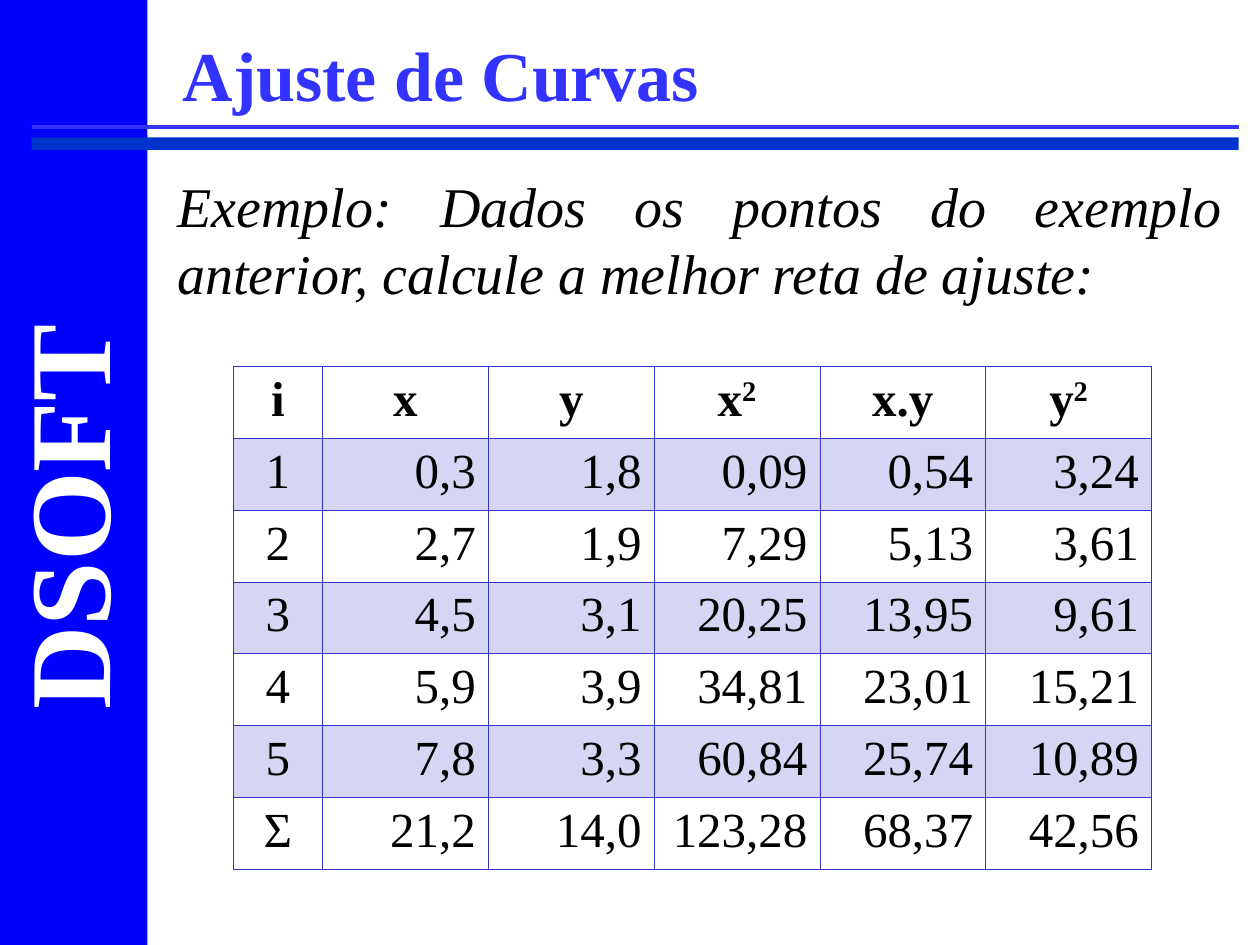
from dataclasses import dataclass

from lxml import etree
from pptx import Presentation
from pptx import util as u
from pptx.dml.color import RGBColor
from pptx.enum import shapes, text
from pptx.oxml.ns import qn

WIDTH, HEIGHT = 10, 7.5


@dataclass(frozen=True)
class Theme:
    font: str = "Times New Roman"
    sidebar: str = "0000FF"
    bar: str = "0033CC"
    accent: str = "3333FF"
    grid: str = "3333CC"
    ink: str = "000000"
    light: str = "FFFFFF"
    label_size: int = 66
    title_size: int = 40
    body_size: int = 32
    table_size: int = 28
    rule_width: float = 2.25
    grid_width: float = 0.45
    header_width: float = 0.96
    band_alpha: int = 20


THEME = Theme()

HEADINGS = ["i", "x", "y", "x²", "x.y", "y²"]
POINTS = [
    ["1", "0,3", "1,8", "0,09", "0,54", "3,24"],
    ["2", "2,7", "1,9", "7,29", "5,13", "3,61"],
    ["3", "4,5", "3,1", "20,25", "13,95", "9,61"],
    ["4", "5,9", "3,9", "34,81", "23,01", "15,21"],
    ["5", "7,8", "3,3", "60,84", "25,74", "10,89"],
]
SUMS = ["Σ", "21,2", "14,0", "123,28", "68,37", "42,56"]


def inches(*lengths):
    return [u.Inches(length) for length in lengths]


def style(paragraph, size, color, align=text.PP_ALIGN.LEFT, bold=False, italic=False):
    paragraph.alignment = align
    font = paragraph.font
    font.name, font.size = THEME.font, u.Pt(size)
    font.bold, font.italic = bold, italic
    font.color.rgb = RGBColor.from_string(color)


def add_block(slide, box, color):
    block = slide.shapes.add_shape(shapes.MSO_SHAPE.RECTANGLE, *inches(*box))
    block.shadow.inherit = False
    block.fill.solid()
    block.fill.fore_color.rgb = RGBColor.from_string(color)
    block.line.fill.background()


def add_sidebar(slide, box):
    left, top, width, height = box
    add_block(slide, box, THEME.sidebar)
    label_width, label_height = 3.6, 1.2
    center_x, center_y = left + width * 0.44, top + height * 0.547
    label = slide.shapes.add_textbox(*inches(
        center_x - label_width / 2, center_y - label_height / 2, label_width, label_height))
    label.rotation = 270
    label.text_frame.word_wrap = True
    label.text_frame.text = "DSOFT"
    style(label.text_frame.paragraphs[0], THEME.label_size, THEME.light,
          text.PP_ALIGN.CENTER, bold=True)


def add_header_rules(slide, box):
    left, top, width, height = box
    bar_height = height * 0.55
    add_block(slide, (left, top + height - bar_height, width, bar_height), THEME.bar)
    rule = slide.shapes.add_connector(
        shapes.MSO_CONNECTOR.STRAIGHT, *inches(left, top, left + width, top))
    rule.line.color.rgb = RGBColor.from_string(THEME.accent)
    rule.line.width = u.Pt(THEME.rule_width)
    etree.SubElement(rule._element.spPr, qn("a:effectLst"))


def place_title(slide, box):
    title = slide.shapes.title
    title.left, title.top, title.width, title.height = inches(*box)
    frame = title.text_frame
    frame.text = "Ajuste de Curvas"
    frame.auto_size = text.MSO_AUTO_SIZE.NONE
    frame.vertical_anchor = text.MSO_ANCHOR.MIDDLE
    style(frame.paragraphs[0], THEME.title_size, THEME.accent, bold=True)


def add_statement(slide, box):
    statement = slide.shapes.add_textbox(*inches(*box)).text_frame
    statement.word_wrap = True
    statement.text = ("Exemplo: Dados os pontos do exemplo anterior, "
                      "calcule a melhor reta de ajuste:")
    style(statement.paragraphs[0], THEME.body_size, THEME.ink,
          text.PP_ALIGN.JUSTIFY, italic=True)


def set_borders(cell, top_width, bottom_width):
    properties = cell._tc.get_or_add_tcPr()
    widths = {"L": THEME.grid_width, "R": THEME.grid_width,
              "T": top_width, "B": bottom_width}
    for side, width in widths.items():
        border = etree.SubElement(properties, qn(f"a:ln{side}"), w=str(u.Pt(width)))
        fill = etree.SubElement(border, qn("a:solidFill"))
        etree.SubElement(fill, qn("a:srgbClr"), val=THEME.grid)


def fill_cell(cell, banded):
    if not banded:
        cell.fill.background()
        return
    cell.fill.solid()
    cell.fill.fore_color.rgb = RGBColor.from_string(THEME.grid)
    color = cell._tc.tcPr.find(qn("a:solidFill")).find(qn("a:srgbClr"))
    etree.SubElement(color, qn("a:alpha"), val=str(THEME.band_alpha * 1000))


def write_cell(cell, value, align, bold):
    paragraph = cell.text_frame.paragraphs[0]
    style(paragraph, THEME.table_size, THEME.ink, align, bold)
    paragraph.add_run().text = value.rstrip("²")
    if value.endswith("²"):
        exponent = paragraph.add_run()
        exponent.text = "2"
        exponent.font._element.set("baseline", "30000")


def add_sums_table(slide, box):
    rows = [HEADINGS, *POINTS, SUMS]
    table = slide.shapes.add_table(len(rows), len(HEADINGS), *inches(*box)).table
    table.horz_banding = table.first_row = False
    index_width = 0.71
    value_width = (box[2] - index_width) / (len(HEADINGS) - 1)
    for c, column in enumerate(table.columns):
        column.width = u.Inches(value_width if c else index_width)
    for r, values in enumerate(rows):
        for c, value in enumerate(values):
            cell = table.cell(r, c)
            centered = r == 0 or c == 0
            align = text.PP_ALIGN.CENTER if centered else text.PP_ALIGN.RIGHT
            write_cell(cell, value, align, bold=r == 0)
            set_borders(cell,
                        THEME.header_width if r == 1 else THEME.grid_width,
                        THEME.header_width if r == 0 else THEME.grid_width)
            fill_cell(cell, banded=r % 2 == 1)


def main():
    deck = Presentation()
    deck.slide_width, deck.slide_height = inches(WIDTH, HEIGHT)
    slide = deck.slides.add_slide(deck.slide_layouts[5])
    content_width = WIDTH * 0.849
    add_sidebar(slide, (0, 0, 1.17, HEIGHT))
    add_header_rules(slide, (0.25, 1.01, 9.58, 0.18))
    place_title(slide, (1.35, 0.08, content_width, 1))
    add_statement(slide, (1.31, 1.31, content_width, 1.2))
    add_sums_table(slide, (1.85, 2.91, WIDTH * 0.729, HEIGHT * 0.532))
    deck.save("out.pptx")


if __name__ == "__main__":
    main()
